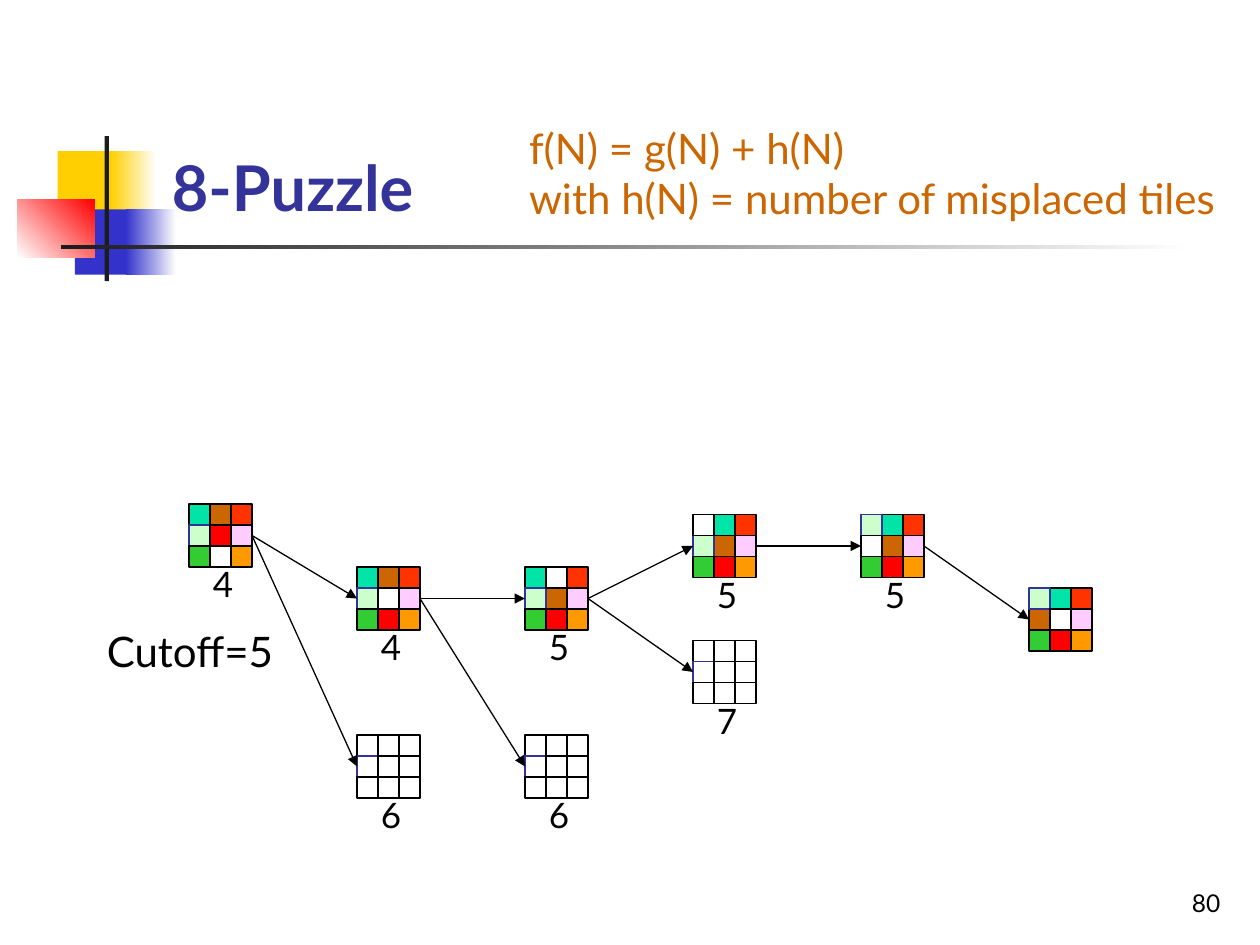
from dataclasses import dataclass

from lxml.etree import SubElement
from pptx import Presentation
from pptx.dml.color import RGBColor as RGB
from pptx.enum.shapes import MSO_CONNECTOR as Connector, MSO_SHAPE as Preset
from pptx.enum.text import MSO_ANCHOR as Anchor, MSO_AUTO_SIZE as AutoSize, PP_ALIGN as Align
from pptx.oxml.ns import qn
from pptx.util import Pt


@dataclass(frozen=True)
class Theme:
    font: str = "Lato"
    title_size: int = 36
    text_size: int = 24
    score_size: int = 20
    number_size: int = 14
    ink: str = "000000"
    paper: str = "FFFFFF"
    title: str = "333399"
    accent: str = "CC6600"
    yellow: str = "FFCF01"
    blue: str = "3333CC"
    red: str = "FF0000"
    rule: str = "1C1C1C"
    line_width: float = 0.75


THEME = Theme()
TILE = 12

# Tile colours by letter, in drawing order; W is the empty square
TILE_COLORS = {
    "T": "00E4A8", "B": "CC6600", "P": "CCFFCC", "R": "FF0000", "K": "FFCCFF",
    "G": "33CC33", "W": "FFFFFF", "O": "FF9900", "V": "FF3300",
}
START = "TBVPRKGWO"

# Search nodes: left, top, tiles row by row (None if cut off), score
NODES = {
    "start": (108, 288, START, "4"),
    "up": (204, 324, "TBVPWKGRO", "4"),
    "start cut": (204, 420, None, "6"),
    "up cut": (300, 420, None, "6"),
    "up up": (300, 324, "TWVPBKGRO", "5"),
    "right cut": (396, 366, None, "7"),
    "left": (396, 294, "WTVPBKGRO", "5"),
    "down": (492, 294, "PTVWBKGRO", "5"),
    "goal": (588, 336, "PTVBWKGRO", None),
}
MOVES = [
    ("start", "up"), ("start", "start cut"), ("up", "up cut"), ("up", "up up"),
    ("up up", "right cut"), ("up up", "left"), ("left", "down"), ("down", "goal"),
]

# Corner ornament: left, top, width, height, colours, gradient angle
ORNAMENT = [
    (33, 86.4, 34.8, 37.4, (THEME.yellow,), 0),
    (63.4, 86.4, 26, 37.4, (THEME.yellow, THEME.paper), 0),
    (42.8, 119.6, 33, 37.4, (THEME.blue,), 0),
    (72, 119.6, 28.8, 37.4, (THEME.blue, THEME.paper), 0),
    (10, 113.8, 44, 33.4, (THEME.paper, THEME.red), 45),
    (59.8, 77.8, 2.4, 82.8, (THEME.rule,), 0),
    (34.6, 140, 648, 2.4, (THEME.rule, THEME.paper), 0),
]


class SlideBuilder:
    def __init__(self, slide, theme):
        self.slide = slide
        self.theme = theme

    def rectangle(self, left, top, width, height, colors, angle=0, outline=None, parent=None):
        shapes = (parent or self.slide).shapes
        block = shapes.add_shape(Preset.RECTANGLE, Pt(left), Pt(top), Pt(width), Pt(height))
        block.shadow.inherit = False
        if len(colors) == 1:
            block.fill.solid()
            block.fill.fore_color.rgb = RGB.from_string(colors[0])
        else:
            block.fill.gradient()
            block.fill.gradient_angle = angle
            for stop, color in zip(block.fill.gradient_stops, colors):
                stop.color.rgb = RGB.from_string(color)
        if outline:
            block.line.color.rgb = RGB.from_string(outline)
            block.line.width = Pt(self.theme.line_width)
        else:
            block.line.fill.background()
        return block

    def add_lines(self, frame, lines, size, color, bold=False, align=Align.LEFT):
        for index, line in enumerate(lines):
            paragraph = frame.add_paragraph() if index else frame.paragraphs[0]
            paragraph.alignment = align
            run = paragraph.add_run()
            run.text = line
            run.font.name = self.theme.font
            run.font.size = Pt(size)
            run.font.bold = bold
            run.font.color.rgb = RGB.from_string(color)

    def title(self, text, left, top, width, height):
        heading = self.slide.shapes.title
        heading.left, heading.top = Pt(left), Pt(top)
        heading.width, heading.height = Pt(width), Pt(height)
        heading.text_frame.vertical_anchor = Anchor.BOTTOM
        heading.text_frame.auto_size = AutoSize.NONE
        self.add_lines(heading.text_frame, [text], self.theme.title_size, self.theme.title,
                       bold=True)
        # Bring the heading in front of the ornament
        heading.element.getparent().append(heading.element)

    def text(self, lines, left, top, width, height, size, color=None, align=Align.LEFT,
             anchor=Anchor.TOP, wrap=False, parent=None):
        shapes = (parent or self.slide).shapes
        box = shapes.add_textbox(Pt(left), Pt(top), Pt(width), Pt(height))
        frame = box.text_frame
        frame.word_wrap = wrap
        frame.vertical_anchor = anchor
        self.add_lines(frame, lines, size, color or self.theme.ink, align=align)

    def board(self, left, top, tiles, score):
        """Draw a 3 x 3 board and return its middle-left and middle-right squares."""
        group = self.slide.shapes.add_group_shape()
        if score:
            self.text([score], left + 6.5, top + 30, 25.2, 31, self.theme.score_size, parent=group)
        layout = tiles or START
        squares = {}
        for letter, color in TILE_COLORS.items():
            place = layout.index(letter)
            row, column = divmod(place, 3)
            squares[place] = self.rectangle(
                left + column * TILE, top + row * TILE, TILE, TILE,
                (color if tiles else self.theme.paper,),
                outline=self.theme.title if letter == "P" else self.theme.ink, parent=group)
        return squares[3], squares[5]

    def arrow(self, source, target):
        move = self.slide.shapes.add_connector(Connector.STRAIGHT, Pt(0), Pt(0), Pt(0), Pt(0))
        move.begin_connect(source, 3)
        move.end_connect(target, 1)
        move.line.color.rgb = RGB.from_string(self.theme.ink)
        move.line.width = Pt(self.theme.line_width)
        properties = move.element.spPr
        SubElement(properties.find(qn("a:ln")), qn("a:tailEnd"), type="triangle")
        SubElement(properties, qn("a:effectLst"))


def main():
    deck = Presentation()
    deck.slide_width, deck.slide_height = Pt(720), Pt(540)
    builder = SlideBuilder(deck.slides.add_slide(deck.slide_layouts[5]), THEME)

    # Ornament, heading and slide number
    for *box, colors, angle in ORNAMENT:
        builder.rectangle(*box, colors, angle)
    builder.title("8-Puzzle", 91, 16.6, 613.4, 115.2)
    builder.text(["80"], 554.4, 491.8, 150, 36, THEME.number_size,
                 align=Align.RIGHT, anchor=Anchor.BOTTOM, wrap=True)

    # Search tree
    boards = {name: builder.board(*node) for name, node in NODES.items()}
    for parent, child in MOVES:
        builder.arrow(boards[parent][1], boards[child][0])

    # Cutoff and evaluation function
    builder.text(["Cutoff=5"], 54, 354, 109.4, 36, THEME.text_size)
    builder.text(["f(N) = g(N) + h(N)", "with h(N) = number of misplaced tiles"],
                 295.2, 66.2, 419, 65, THEME.text_size, THEME.accent)

    deck.save("out.pptx")


if __name__ == "__main__":
    main()
